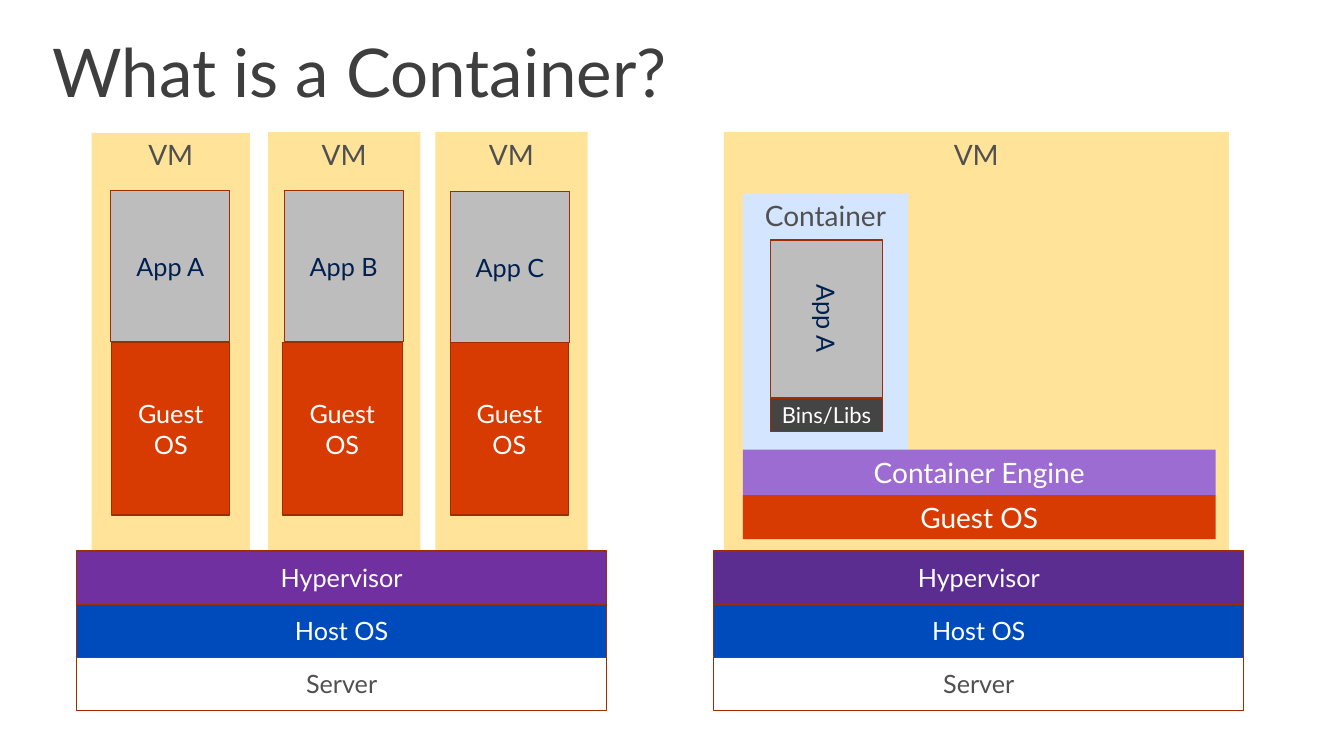
import pptx
import pptx.util
import pptx.dml.color
import pptx.enum.shapes
import pptx.enum.text

Pt = pptx.util.Pt
ANCHOR = pptx.enum.text.MSO_ANCHOR

deck = pptx.Presentation()
deck.slide_width, deck.slide_height = Pt(960), Pt(540)
page = deck.slides.add_slide(deck.slide_layouts[6])


def color(value):
    return pptx.dml.color.RGBColor.from_string(value)


def add_block(label, left, top, width, height, fill, ink="FFFFFF", size=18,
              border=True, anchor=ANCHOR.MIDDLE):
    box = page.shapes.add_shape(pptx.enum.shapes.MSO_SHAPE.RECTANGLE,
                                Pt(left), Pt(top), Pt(width), Pt(height))
    box.shadow.inherit = False
    box.fill.solid()
    box.fill.fore_color.rgb = color(fill)
    frame = box.text_frame
    frame.word_wrap = True
    frame.vertical_anchor = anchor
    if border:
        box.line.color.rgb = color("A02C01")
        box.line.width = Pt(0.85)
    else:
        box.line.fill.background()
        frame.margin_left = frame.margin_right = 0
    para = frame.paragraphs[0]
    para.alignment = pptx.enum.text.PP_ALIGN.CENTER
    span = para.add_run()
    span.text = label
    span.font.name = "Lato"
    span.font.size = Pt(size)
    span.font.color.rgb = color(ink)
    return box


title = page.shapes.add_textbox(Pt(37.4), Pt(28.1), Pt(738), Pt(52.6))
frame = title.text_frame
frame.word_wrap = True
frame.margin_left = frame.margin_right = frame.margin_top = frame.margin_bottom = 0
para = frame.paragraphs[0]
para.line_spacing = 0.9
span = para.add_run()
span.text = "What is a Container?"
span.font.name = "Lato"
span.font.size = Pt(48)
span.font.color.rgb = color("3E3E3E")

panels = [
    ("VM", 65.5, 95, 113, 298.8, "FFE399"),
    ("VM", 191.5, 94.3, 108.7, 298.8, "FFE399"),
    ("VM", 311, 94.3, 108.7, 298.8, "FFE399"),
    ("VM", 517, 94.3, 360.7, 298.8, "FFE399"),
    ("Container", 530.6, 138.5, 118.1, 182.9, "D4E5FF"),
]
for panel in panels:
    add_block(*panel, ink="505050", size=20, border=False, anchor=ANCHOR.TOP)

for left, hypervisor_fill in [(54.7, "7030A0"), (509.8, "5C2D91")]:
    layers = [("Server", "FFFFFF", "505050"),
              ("Host OS", "004BBC", "FFFFFF"),
              ("Hypervisor", hypervisor_fill, "FFFFFF")]
    for level, (label, fill, ink) in enumerate(layers):
        add_block(label, left, 469.4 - 37.9 * level, 378.7, 38.2, fill, ink)

apps = [("App A", 79.2, 136.1, 79.9, 84.2),
        ("App B", 203, 136.1, 201.6, 85.7),
        ("App C", 321.8, 136.8, 321.8, 84.2)]
for label, app_left, app_top, guest_left, guest_width in apps:
    add_block("Guest OS", guest_left, 244.8, guest_width, 123.1, "D83B01")
    add_block(label, app_left, app_top, 85, 108, "BDBDBD", "002050")

add_block("Bins/Libs", 550.1, 284.4, 80.6, 23.8, "444444", size=15.7)
container_app = add_block("App A", 550.1, 171.4, 80.6, 112.3, "BDBDBD", "002050")
container_app.text_frame._txBody.bodyPr.set("vert", "vert")

add_block("Guest OS", 530.6, 353.5, 337.7, 31.7, "D83B01", size=20, border=False)
add_block("Container Engine", 530.6, 321.1, 337.7, 32.4, "9C6CD2", size=20, border=False)

deck.save("out.pptx")
